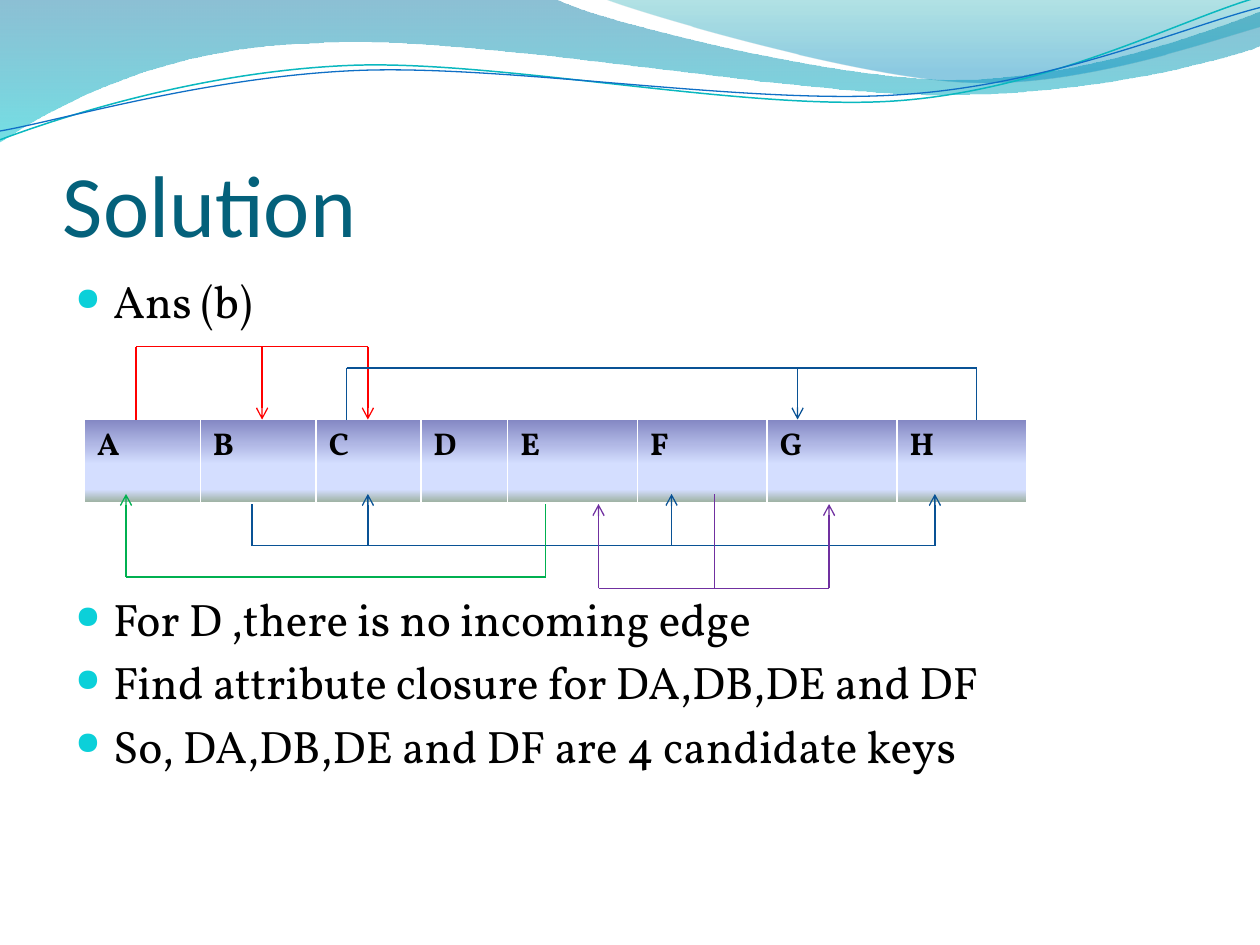
from lxml.etree import SubElement
from pptx import Presentation
from pptx.dml.color import RGBColor as RGB
from pptx.enum.shapes import MSO_CONNECTOR as CONN
from pptx.enum.text import MSO_ANCHOR as ANCHOR
from pptx.oxml.ns import qn
from pptx.util import Inches, Pt

THEME = {
    "title": ("Calibri", 50, "04617B"), "body": ("Vollkorn", 26, "000000"),
    "cell": ("Vollkorn", 18, "000000"), "bullet": "0BD0D9", "border": "FFFFFF",
    "red": "FF0000", "blue": "095295", "green": "00B050", "purple": "7030A0",
    "edge_pt": 0.75, "bullet_pct": 70,
    # gradient stops: position %, colour, opacity %
    "cell_fill": [(0, "8488C4", 100), (53, "D4DEFF", 100), (83, "D4DEFF", 100), (100, "96AB94", 100)],
    "wave_fill": [(0, "0074A1", 45), (100, "00C6CF", 55)],
    "crest_fill": [(0, "00A1A9", 30), (80, "008BBF", 45)],
}

TITLE = "Solution"
# bullet text, space before in points; the large gap leaves room for the diagram
BULLETS = [
    ("Ans (b)", 5),
    ("For D ,there is no incoming edge", 150.5),
    ("Find attribute closure for DA,DB,DE and DF", 5),
    ("So, DA,DB,DE and DF are 4 candidate keys", 5),
]
COLUMNS = [("A", 0.92), ("B", 0.92), ("C", 0.83), ("D", 0.69),
           ("E", 1.03), ("F", 1.03), ("G", 1.03), ("H", 1.03)]
TABLE_LEFT, TABLE_TOP, ROW_H = 0.67, 3.33, 0.67

# dependencies: colour, bar height, plain legs (x, end y), arrow legs (x, end y)
DEPENDENCIES = [
    ("red", 2.75, [(1.08, 3.33)], [(2.08, 3.33), (2.92, 3.33)]),
    ("blue", 4.33, [(2, 4)], [(2.92, 3.92), (5.33, 3.92), (7.42, 3.92)]),
    ("blue", 2.92, [(2.75, 3.33), (7.75, 3.33)], [(6.33, 3.33)]),
    ("green", 4.58, [(4.33, 4)], [(1, 3.92)]),
    ("purple", 4.67, [(5.67, 3.92)], [(4.75, 4), (6.58, 4)]),
]

# header outlines: start, then a point (2 numbers) or a Bezier segment (6 numbers)
WAVES = [
    ((0, 0), [(4.4, -0.01), (4.76, 0.17, 6.64, 0.63, 7.58, 0.63),
              (8.53, 0.63, 9.58, 0.26, 10, 0.09), (10.01, 0.36),
              (9.83, 0.44, 8.7, 0.76, 7.46, 0.75), (6.22, 0.75, 3.82, 0.28, 2.57, 0.34),
              (1.29, 0.36, 0.46, 0.83, -0.01, 1.13), (0, 0)], "wave_fill"),
    ((4.79, -0.01), [(5.09, 0.11, 6.82, 0.62, 7.69, 0.65),
                     (8.56, 0.69, 9.61, 0.32, 10, 0.21), (10, 0), (4.79, -0.01)], "crest_fill"),
]
RIBBONS = [
    ((0, 1.11), [(0.48, 0.93, 1.58, 0.57, 2.77, 0.52), (3.95, 0.47, 5.93, 0.89, 7.13, 0.8),
                 (8.33, 0.71, 9.38, 0.15, 9.98, -0.02)], "0AB8BF", 0.85),
    ((0, 1.04), [(0.47, 0.96, 1.64, 0.61, 2.83, 0.56), (4.03, 0.51, 5.97, 0.84, 7.17, 0.75),
                 (8.36, 0.67, 9.41, 0.21, 10, 0.06)], "0F6FC6", 0.75),
]


def add_outline(shapes, start, segments, close):
    """Draw every point as a line, then merge each Bezier triple into one curve."""
    def units(values):
        return [round(v * 100) for v in values]

    fb = shapes.build_freeform(*units(start), scale=Inches(0.01))
    for seg in segments:
        v = units(seg)
        fb.add_line_segments(list(zip(v[::2], v[1::2])), close=False)
    if close:
        fb.add_line_segments([], close=True)
    sp = fb.convert_to_shape()
    sp.shadow.inherit = False
    lines = iter(list(sp._element.iter(qn("a:lnTo"))))
    for seg in segments:
        first = next(lines)
        if len(seg) == 6:
            curve = first.makeelement(qn("a:cubicBezTo"), {})
            first.addprevious(curve)
            for ln in (first, next(lines), next(lines)):
                curve.append(ln[0])
                ln.getparent().remove(ln)
    return sp


def set_gradient(fill, stops):
    fill.gradient()
    fill.gradient_angle = 270  # counter-clockwise: top to bottom
    gs_lst = fill.gradient_stops[0]._gs.getparent()
    for gs in list(gs_lst):
        gs_lst.remove(gs)
    for pos, color, opacity in stops:
        gs = SubElement(gs_lst, qn("a:gs"), pos=str(pos * 1000))
        clr = SubElement(gs, qn("a:srgbClr"), val=color)
        if opacity < 100:
            SubElement(clr, qn("a:alpha"), val=str(opacity * 1000))


def add_run(p, text, style, bold=False):
    r = p.add_run()
    r.text = text
    r.font.name, size, color = THEME[style]
    r.font.size, r.font.bold = Pt(size), bold
    r.font.color.rgb = RGB.from_string(color)


def add_box(shapes, x, y, w, h):
    tf = shapes.add_textbox(Inches(x), Inches(y), Inches(w), Inches(h)).text_frame
    tf.word_wrap = True
    return tf


def set_bullet(p):
    pPr = p._p.get_or_add_pPr()
    pPr.set("marL", str(Inches(0.3)))
    pPr.set("indent", str(-Inches(0.3)))
    SubElement(SubElement(pPr, qn("a:buClr")), qn("a:srgbClr"), val=THEME["bullet"])
    SubElement(pPr, qn("a:buSzPct"), val=str(THEME["bullet_pct"] * 1000))
    SubElement(pPr, qn("a:buChar"), char="●")


def set_borders(cell):
    tcPr = cell._tc.get_or_add_tcPr()
    for i, (side, width) in enumerate((("lnL", 1), ("lnR", 1), ("lnT", 1), ("lnB", 3))):
        ln = tcPr.makeelement(qn(f"a:{side}"), {"w": str(Pt(width))})
        SubElement(SubElement(ln, qn("a:solidFill")), qn("a:srgbClr"), val=THEME["border"])
        tcPr.insert(i, ln)


def add_edge(shapes, x1, y1, x2, y2, color, arrow=False):
    cx = shapes.add_connector(CONN.STRAIGHT, *map(Inches, (x1, y1, x2, y2)))
    cx.line.color.rgb = RGB.from_string(THEME[color])
    cx.line.width = Pt(THEME["edge_pt"])
    if arrow:
        SubElement(cx.line._get_or_add_ln(), qn("a:tailEnd"), type="arrow")
    SubElement(cx._element.spPr, qn("a:effectLst"))


prs = Presentation()
prs.slide_width, prs.slide_height = Inches(10), Inches(7.5)
s = prs.slides.add_slide(prs.slide_layouts[6])
shapes = s.shapes

# Header waves
for start, segments, stops in WAVES:
    sp = add_outline(shapes, start, segments, True)
    set_gradient(sp.fill, THEME[stops])
    sp.line.fill.background()
for start, segments, color, width in RIBBONS:
    sp = add_outline(shapes, start, segments, False)
    sp.fill.background()
    sp.line.color.rgb = RGB.from_string(color)
    sp.line.width = Pt(width)

# Title
tf = add_box(shapes, 0.5, 0.77, 9, 1.25)
tf.margin_left = tf.margin_right = tf.margin_bottom = 0
tf.vertical_anchor = ANCHOR.BOTTOM
add_run(tf.paragraphs[0], TITLE, "title")

# Bullets
tf = add_box(shapes, 0.5, 2.12, 9, 4.8)
for i, (text, gap) in enumerate(BULLETS):
    p = tf.add_paragraph() if i else tf.paragraphs[0]
    p.space_before = Pt(gap)
    set_bullet(p)
    add_run(p, text, "body")

# Attribute table
width = sum(w for _, w in COLUMNS)
table = shapes.add_table(1, len(COLUMNS), Inches(TABLE_LEFT), Inches(TABLE_TOP),
                         Inches(width), Inches(ROW_H)).table
for i, (name, w) in enumerate(COLUMNS):
    table.columns[i].width = Inches(w)
    cell = table.cell(0, i)
    set_gradient(cell.fill, THEME["cell_fill"])
    set_borders(cell)
    add_run(cell.text_frame.paragraphs[0], name, "cell", bold=True)

# Dependency edges: one bar each, with legs to the table
for color, bar, plain, arrows in DEPENDENCIES:
    xs = [x for x, _ in plain + arrows]
    add_edge(shapes, min(xs), bar, max(xs), bar, color)
    for legs, arrow in ((plain, False), (arrows, True)):
        for x, y in legs:
            add_edge(shapes, x, bar, x, y, color, arrow)

prs.save("out.pptx")
